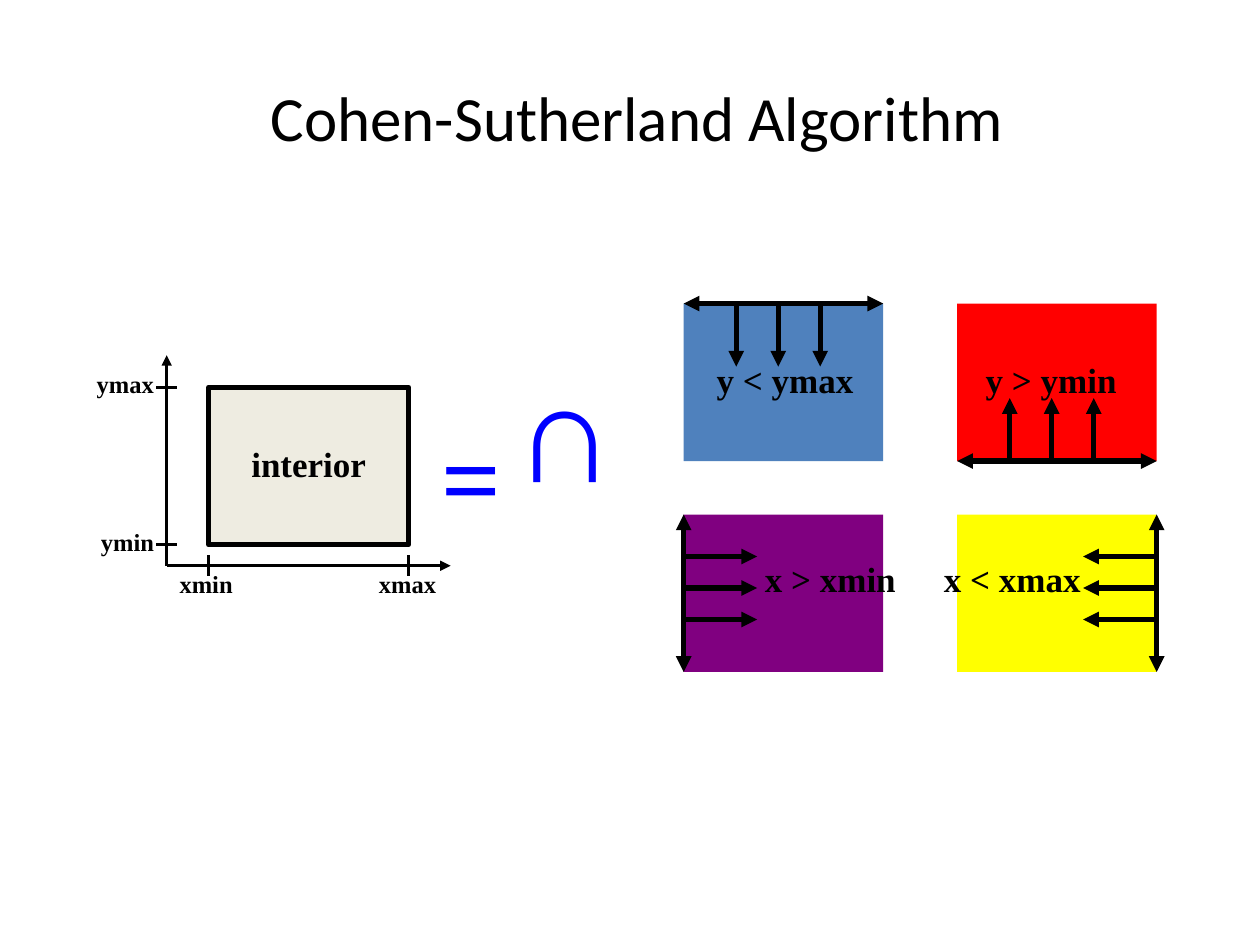
from lxml.etree import SubElement
from pptx import Presentation
from pptx.dml.color import RGBColor
from pptx.enum.shapes import MSO_CONNECTOR, MSO_SHAPE
from pptx.enum.text import MSO_ANCHOR, MSO_AUTO_SIZE, PP_ALIGN
from pptx.oxml.ns import qn
from pptx.util import Pt


def color(value):
    return RGBColor.from_string(value)


def write(frame, text, size=20, font="Times New Roman", ink="000000", bold=True,
          align=PP_ALIGN.LEFT, anchor=MSO_ANCHOR.TOP, spacing=0.9, wrap=False):
    frame.word_wrap = wrap
    frame.vertical_anchor = anchor
    paragraph = frame.paragraphs[0]
    paragraph.alignment = align
    paragraph.line_spacing = spacing
    run = paragraph.add_run()
    run.text = text
    run.font.size = Pt(size)
    run.font.name = font
    run.font.bold = bold
    run.font.color.rgb = color(ink)


class ClippingSlide:
    """Draws the parts of the clipping diagram on one slide, in points."""

    INK = "000000"
    BLUE = "0000FF"
    HEAVY = 3
    THIN = 1.5

    def __init__(self, deck):
        self.slide = deck.slides.add_slide(deck.slide_layouts[5])

    def title(self, text):
        heading = self.slide.shapes.title
        heading.left, heading.top = Pt(36), Pt(21.6)
        heading.width, heading.height = Pt(648), Pt(90)
        heading.text_frame.margin_left = Pt(15.2)
        write(heading.text_frame, text, size=36, font="Calibri", bold=False,
              align=PP_ALIGN.CENTER, anchor=MSO_ANCHOR.MIDDLE, spacing=1.0, wrap=True)

    def region(self, left, top, width, height, fill, outline=None):
        area = self.slide.shapes.add_shape(
            MSO_SHAPE.RECTANGLE, Pt(left), Pt(top), Pt(width), Pt(height))
        area.shadow.inherit = False
        area.fill.solid()
        area.fill.fore_color.rgb = color(fill)
        if outline:
            area.line.color.rgb = color(outline)
            area.line.width = Pt(self.HEAVY)
        else:
            area.line.fill.background()
        return area

    def line(self, start, end, width, head=False, tail=False):
        stroke = self.slide.shapes.add_connector(
            MSO_CONNECTOR.STRAIGHT, *map(Pt, (*start, *end)))
        stroke.line.color.rgb = color(self.INK)
        stroke.line.width = Pt(width)
        outline = stroke.line._get_or_add_ln()
        for tag, shown in (("a:headEnd", head), ("a:tailEnd", tail)):
            if shown:
                SubElement(outline, qn(tag), type="triangle")
        SubElement(stroke._element.spPr, qn("a:effectLst"))

    def label(self, text, left, top, width, height, grow=True, **style):
        box = self.slide.shapes.add_textbox(Pt(left), Pt(top), Pt(width), Pt(height))
        write(box.text_frame, text, **style)
        if grow:
            box.text_frame.auto_size = MSO_AUTO_SIZE.SHAPE_TO_FIT_TEXT

    def half_plane(self, left, top, fill, edge, width=114, height=90):
        self.region(left, top, width, height, fill)
        right, bottom = left + width, top + height
        if edge in ("top", "bottom"):
            y, reach = (top, 36) if edge == "top" else (bottom, -36)
            self.line((left, y), (right, y), self.HEAVY, head=True, tail=True)
            for offset in (30, 54, 78):
                x = left + offset
                self.line((x, y), (x, y + reach), self.HEAVY, tail=True)
        else:
            x, reach = (left, 42) if edge == "left" else (right, -42)
            self.line((x, top), (x, bottom), self.HEAVY, head=True, tail=True)
            for offset in (24, 42, 60):
                y = top + offset
                self.line((x, y), (x + reach, y), self.HEAVY, tail=True)

    def window(self, left, top, width, height, origin):
        interior = self.region(left, top, width, height, "EEECE1", self.INK)
        write(interior.text_frame, "interior", align=PP_ALIGN.CENTER,
              anchor=MSO_ANCHOR.MIDDLE)
        axis_x, axis_y = origin
        self.line(origin, (axis_x, 203), self.THIN, tail=True)
        self.line(origin, (257.5, axis_y), self.THIN, tail=True)
        for x in (left + width, left):
            self.line((x, axis_y - 6), (x, axis_y + 6), self.THIN)
        for y in (top + height, top):
            self.line((axis_x - 6, y), (axis_x + 6, y), self.THIN)


def main():
    deck = Presentation()
    deck.slide_width, deck.slide_height = Pt(720), Pt(540)
    clipping = ClippingSlide(deck)
    clipping.title("Cohen-Sutherland Algorithm")

    for left, top, fill, edge in (
        (390.7, 173.5, "4F81BD", "top"),
        (547, 173.5, "FF0000", "bottom"),
        (390.7, 294, "800080", "left"),
        (547, 294, "FFFF00", "right"),
    ):
        clipping.half_plane(left, top, fill, edge)

    for text, left, top in (
        ("y < ymax", 402.5, 204),
        ("y > ymin", 556.2, 204),
        ("x > xmin", 430, 317.5),
        ("x < xmax", 532.3, 317.5),
    ):
        clipping.label(text, left, top, 94, 28.8)

    clipping.label("=", 245, 240, 49, 72, size=60, ink=clipping.BLUE)
    clipping.label("∩", 286.8, 203, 77.8, 93.6, size=80, font="Arial", ink=clipping.BLUE)

    clipping.window(119.3, 221.3, 114.3, 90, origin=(95.3, 323.3))
    for text, left, top, width in (
        ("xmin", 95.5, 323.3, 44.6),
        ("xmax", 209.5, 323.3, 47.5),
        ("ymin", 50.6, 299.5, 44.6),
        ("ymax", 48.2, 209, 47.5),
    ):
        clipping.label(text, left, top, width, 22.3, grow=False, size=14,
                       anchor=MSO_ANCHOR.MIDDLE)

    deck.save("out.pptx")


if __name__ == "__main__":
    main()
